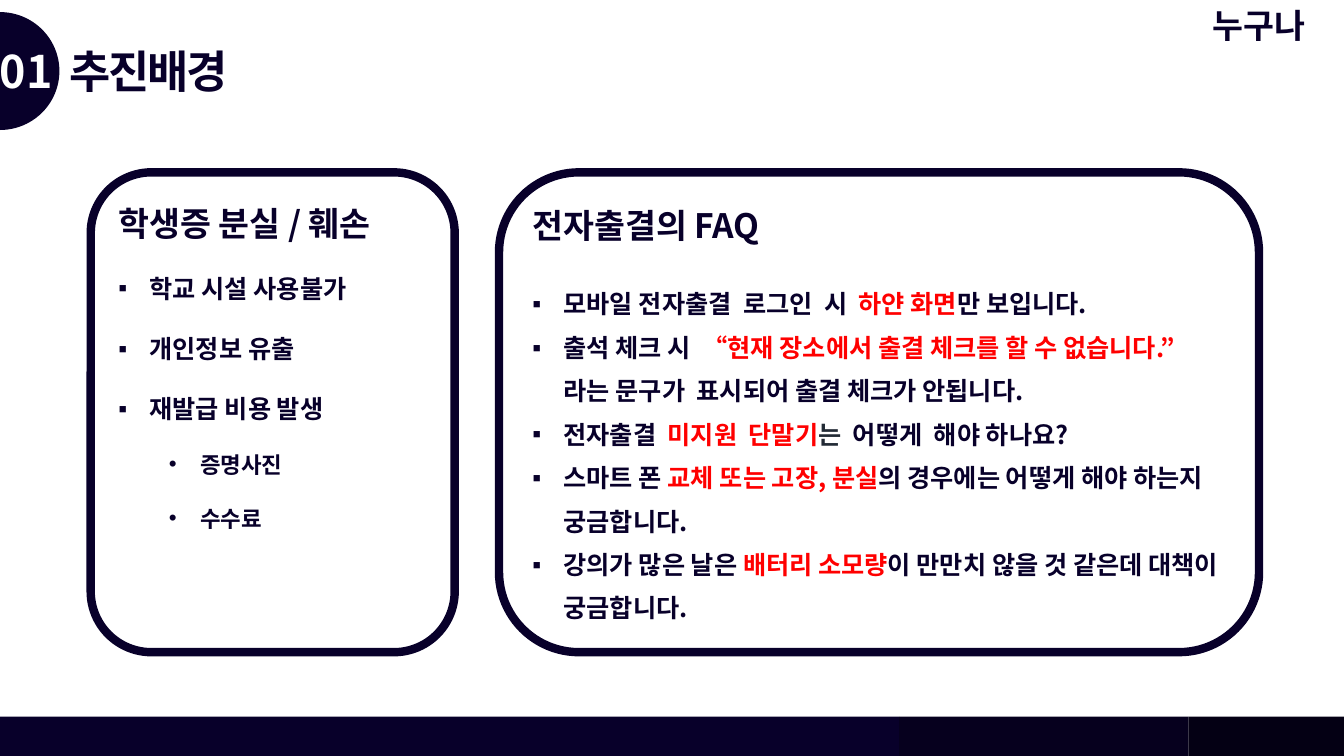
"""Build the project background slide with two rounded cards."""
from lxml import etree
from pptx import Presentation
from pptx.dml.color import RGBColor
from pptx.enum.shapes import MSO_SHAPE
from pptx.enum.text import MSO_ANCHOR, PP_ALIGN
from pptx.oxml.ns import qn
from pptx.util import Inches, Pt

CHORD, RECT, ROUND = MSO_SHAPE.CHORD, MSO_SHAPE.RECTANGLE, MSO_SHAPE.ROUNDED_RECTANGLE
LEFT, CENTER, TOP = PP_ALIGN.LEFT, PP_ALIGN.CENTER, MSO_ANCHOR.TOP
THEME = {
    "font": "Noto Sans CJK KR",
    "colors": {"navy": "08002A", "deep": "06001E", "night": "040014",
               "white": "FFFFFF", "red": "FF0000", "slate": "222A35"},
    "sizes": {"title": 32, "head": 24, "body": 18, "sub": 16},
}

prs = Presentation()
prs.slide_width, prs.slide_height = Inches(13.333), Inches(7.5)
slide = prs.slides.add_slide(prs.slide_layouts[6])


def box(kind, x, y, w, h, fill=None):
    """Add a shape, or a text box when kind is None, placed in percent of the slide."""
    pw, ph = prs.slide_width / 100, prs.slide_height / 100
    area = [int(v) for v in (x * pw, y * ph, w * pw, h * ph)]
    if kind is None:
        return slide.shapes.add_textbox(*area)
    sp = slide.shapes.add_shape(kind, *area)
    sp.shadow.inherit = False
    sp.fill.solid()
    sp.fill.fore_color.rgb = RGBColor.from_string(THEME["colors"][fill])
    sp.line.fill.background()
    return sp


def write(p, runs, size, bullet=None, indent=0, spc=None, **fmt):
    """Fill a paragraph with (text, color) runs, its format and its bullet."""
    for name, value in {"alignment": LEFT, **fmt}.items():
        setattr(p, name, value)
    if bullet:
        pPr = p._p.get_or_add_pPr()
        pPr.set("marL", str(Inches(indent)))
        pPr.set("indent", str(Inches(-0.31)))
        etree.SubElement(pPr, qn("a:buFont")).set("typeface", "Arial")
        etree.SubElement(pPr, qn("a:buChar")).set("char", bullet)
    for text, color in runs:
        r = p.add_run()
        r.text = text
        for name, value in {"name": THEME["font"], "size": Pt(THEME["sizes"][size]),
                            "bold": True}.items():
            setattr(r.font, name, value)
        r.font.color.rgb = RGBColor.from_string(THEME["colors"][color])
        rPr = r._r.get_or_add_rPr()
        etree.SubElement(rPr, qn("a:ea")).set("typeface", THEME["font"])
        if spc:
            rPr.set("spc", str(spc))


sp = box(CHORD, -4.43, 1.6, 8.85, 15.6, "navy")
sp.adjustments[0], sp.adjustments[1] = 162, 54

edges = [0, 66.9, 88.43, 100]
for x, end, fill in zip(edges, edges[1:], ("navy", "deep", "night")):
    box(RECT, x, 94.8, end - x, 5.2, fill)

labels = [
    ("01", "white", "title", (-0.75, 5.07, 5.55, 8.53), False, LEFT, None),
    ("추진배경", "navy", "title", (4.43, 5.07, 14.33, 8.53), False, LEFT, -150),
    ("누구나", "navy", "head", (87.3, 0, 12.7, 6.67), True, CENTER, None),
]
for text, color, size, area, wrap, align, spc in labels:
    tf = box(None, *area).text_frame
    tf.word_wrap = wrap
    write(tf.paragraphs[0], [(text, color)], size, spc=spc, alignment=align)

losses = [
    ("body", [("학교 시설 사용불가", "navy")]),
    ("body", [("개인정보 유출", "navy")]),
    ("body", [("재발급 비용 발생", "navy")]),
    ("sub", [("증명사진", "navy")]),
    ("sub", [("수수료", "navy")]),
]
questions = [
    ("body", [("모바일 전자출결  로그인  시  ", "navy"), ("하얀 화면", "red"),
              ("만 보입니다.", "navy")]),
    ("body", [("출석 체크 시  ", "navy"),
              ("“현재 장소에서 출결 체크를 할 수 없습니다.” ", "red"),
              ("라는 문구가  표시되어 출결 체크가 안됩니다.", "navy")]),
    ("body", [("전자출결  ", "navy"), ("미지원  단말기", "red"), ("는  ", "slate"),
              ("어떻게  해야 하나요?", "navy")]),
    ("body", [("스마트 폰 ", "navy"), ("교체 또는 고장, 분실", "red"),
              ("의 경우에는 어떻게 해야 하는지 궁금합니다.", "navy")]),
    ("body", [("강의가 많은 날은 ", "navy"), ("배터리 소모량", "red"),
              ("이 만만치 않을 것 같은데 대책이 궁금합니다.", "navy")]),
]
levels = {"body": ("▪", 0.31, 0), "sub": ("•", 0.81, 1)}
cards = [
    (6.75, 27.08, "학생증 분실 / 훼손", losses, {"body": 43, "sub": 38.5}, 0.04, 0),
    (37.13, 56.55, "전자출결의 FAQ", questions, {"body": 31}, 0, 22),
]
for x, w, head, items, pitch, inset, gap in cards:
    sp = box(ROUND, x, 22.8, w, 63.47, "white")
    sp.line.color.rgb = RGBColor.from_string(THEME["colors"]["navy"])
    sp.line.width = Pt(6)
    tf = sp.text_frame
    for name, value in {"word_wrap": True, "vertical_anchor": TOP,
                        "margin_top": Inches(inset)}.items():
        setattr(tf, name, value)
    write(tf.paragraphs[0], [(head, "navy")], "head",
          line_spacing=Pt(35), space_after=Pt(gap))
    for size, runs in items:
        bullet, indent, level = levels[size]
        write(tf.add_paragraph(), runs, size, bullet, indent,
              level=level, line_spacing=Pt(pitch[size]))

prs.save("out.pptx")
